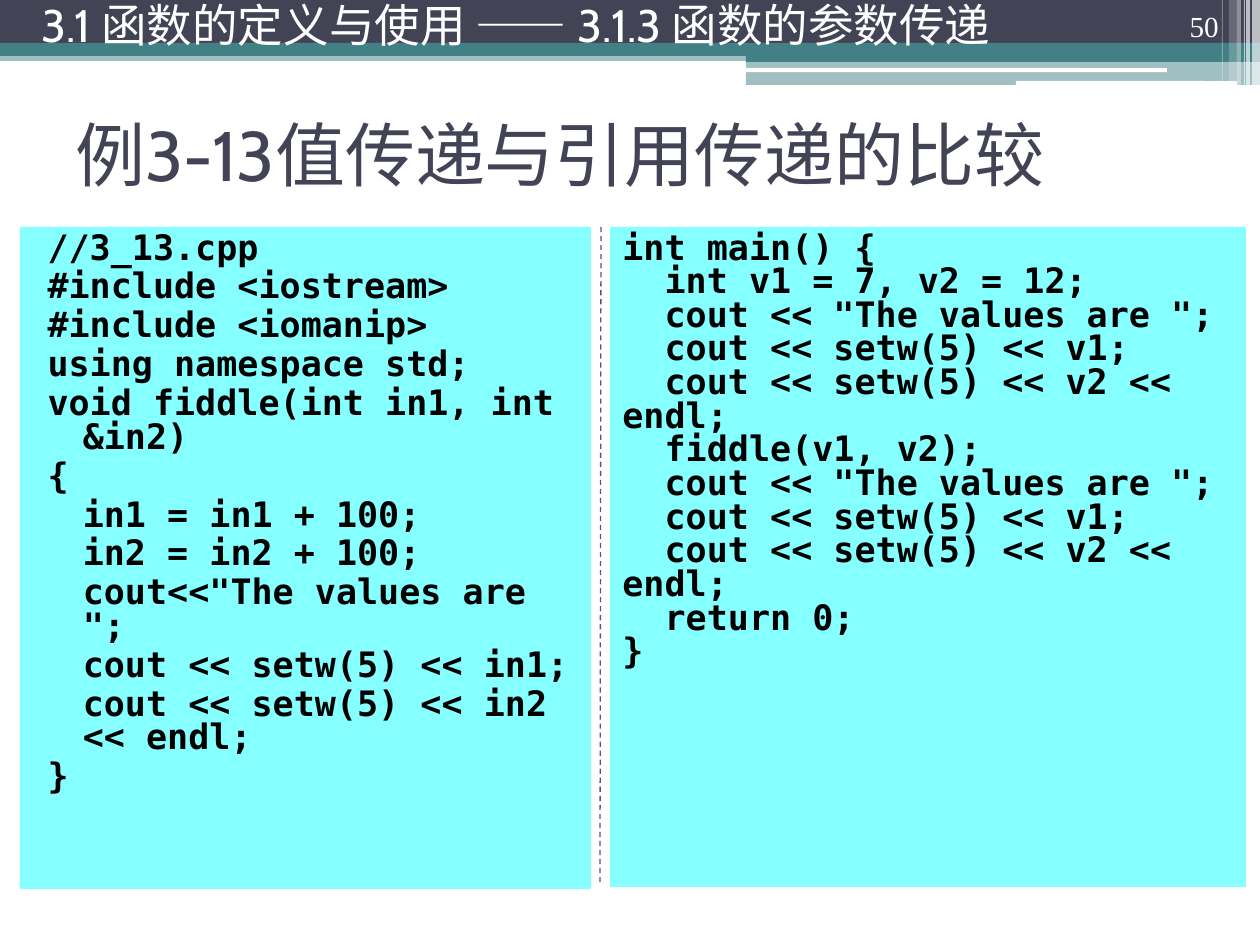
from pptx import Presentation
from pptx.dml.color import RGBColor
from pptx.enum.dml import MSO_LINE
from pptx.enum.shapes import MSO_CONNECTOR, MSO_SHAPE
from pptx.enum.text import MSO_ANCHOR as ANCHOR, PP_ALIGN as ALIGN
from pptx.oxml.ns import qn
from pptx.util import Emu, Inches, Pt
from lxml import etree

SLATE, TEAL, WHITE, CYAN = "424456", "438086", "FFFFFF", "85FFFF"
RECT, ROUND = MSO_SHAPE.RECTANGLE, MSO_SHAPE.ROUNDED_RECTANGLE

BANNER = [
    (RECT, (0, 50, 1260, 11), TEAL, 50),
    (RECT, (0, 0, 1260, 43), SLATE, 100),
    (RECT, (0, 43, 1260, 13), TEAL, 100),
    (RECT, (746, 49, 514, 13), TEAL, 100),
    (RECT, (746, 60, 514, 25), TEAL, 50),
    (ROUND, (745, 68, 422, 4), WHITE, 100),
    (ROUND, (1016, 81, 221, 5), WHITE, 100),
]
STRIPES = [
    (1252, 8, 86, 65), (1246, 4, 86, 65), (1244, 1, 86, 60),
    (1237, 4, 86, 40), (1229, 8, 81, 20), (1222, 1, 81, 30),
]
TITLE = "例3-13值传递与引用传递的比较"
SECTION = "3.1 函数的定义与使用 —— 3.1.3 函数的参数传递"
PAGE = "50"
FIDDLE = [
    "//3_13.cpp",
    "#include <iostream>",
    "#include <iomanip>",
    "using namespace std;",
    "void fiddle(int in1, int &in2)",
    "{",
    "\tin1 = in1 + 100;",
    "\tin2 = in2 + 100;",
    '\tcout<<"The values are ";',
    "\tcout << setw(5) << in1;",
    "\tcout << setw(5) << in2 << endl;",
    "}",
]
PRINT = [
    '  cout << "The values are ";',
    "  cout << setw(5) << v1;",
    "  cout << setw(5) << v2 << endl;",
]
MAIN = ["int main() {", "  int v1 = 7, v2 = 12;", *PRINT,
        "  fiddle(v1, v2);", *PRINT, "  return 0;", "}"]
CODE = {"name": "DejaVu Sans Mono", "size": Pt(20), "bold": True}


def px(n):
    return Emu(round(n * 914400 / 126))


def rgb(color):
    return RGBColor.from_string(color)


def add_panel(slide, kind, box, color, alpha=100):
    """Add a borderless filled shape with an opacity in percent."""
    s = slide.shapes.add_shape(kind, *map(px, box))
    s.shadow.inherit = False
    s.fill.solid()
    s.fill.fore_color.rgb = rgb(color)
    s.line.fill.background()
    if alpha < 100:
        clr = s.fill._xPr.find(qn("a:solidFill"))[0]
        etree.SubElement(clr, qn("a:alpha")).set("val", str(alpha * 1000))
    return s


def write(s, lines, font, color, anchor, hang=None, before=0, **fmt):
    """Write one paragraph per line, with an optional (margin, indent)."""
    tf = s.text_frame
    tf.word_wrap, tf.vertical_anchor = True, anchor
    for i, line in enumerate(lines):
        p = tf.paragraphs[0] if i == 0 else tf.add_paragraph()
        for key, value in {"alignment": ALIGN.LEFT, **fmt}.items():
            setattr(p, key, value)
        if i and before:
            p.space_before = Pt(before)
        if hang:
            pPr = p._p.get_or_add_pPr()
            for key, inches in zip(("marL", "indent"), hang):
                pPr.set(key, str(Inches(inches)))
        r = p.add_run()
        r.text = line
        for key, value in font.items():
            setattr(r.font, key, value)
        r.font.color.rgb = rgb(color)


def add_label(slide, box, text, name, size, color, anchor, **fmt):
    s = slide.shapes.add_textbox(*map(px, box))
    write(s, [text], {"name": name, "size": Pt(size)}, color, anchor, **fmt)


def main():
    prs = Presentation()
    prs.slide_width, prs.slide_height = px(1260), px(945)
    slide = prs.slides.add_slide(prs.slide_layouts[6])

    for kind, box, color, alpha in BANNER:
        add_panel(slide, kind, box, color, alpha)
    for x, w, h, alpha in STRIPES:
        add_panel(slide, RECT, (x, 0, w, h), WHITE, alpha)

    add_label(slide, (63, 79, 1134, 148), TITLE, "Cabin", 40, SLATE, ANCHOR.MIDDLE)
    s = add_panel(slide, RECT, (20, 227, 571, 662), CYAN)
    write(s, FIDDLE, CODE, "000000", ANCHOR.TOP, hang=(0.4, -0.28), before=3,
          line_spacing=0.8)
    add_label(slide, (1126, 0, 105, 50), PAGE, "Times New Roman", 16.6, WHITE,
              ANCHOR.BOTTOM, alignment=ALIGN.RIGHT, line_spacing=0.9)
    add_label(slide, (29, 0, 1113, 59), SECTION, "Cabin", 26, WHITE,
              ANCHOR.MIDDLE, line_spacing=0.8)
    s = add_panel(slide, RECT, (610, 227, 636, 660), CYAN)
    write(s, MAIN, CODE, "000000", ANCHOR.TOP, line_spacing=0.8)

    divider = slide.shapes.add_connector(MSO_CONNECTOR.STRAIGHT,
                                         *map(px, (601, 227, 600, 886)))
    divider.line.color.rgb = rgb("53548A")
    divider.line.width = Pt(0.75)
    divider.line.dash_style = MSO_LINE.DASH
    etree.SubElement(divider._element.spPr, qn("a:effectLst"))

    prs.save("out.pptx")


if __name__ == "__main__":
    main()
